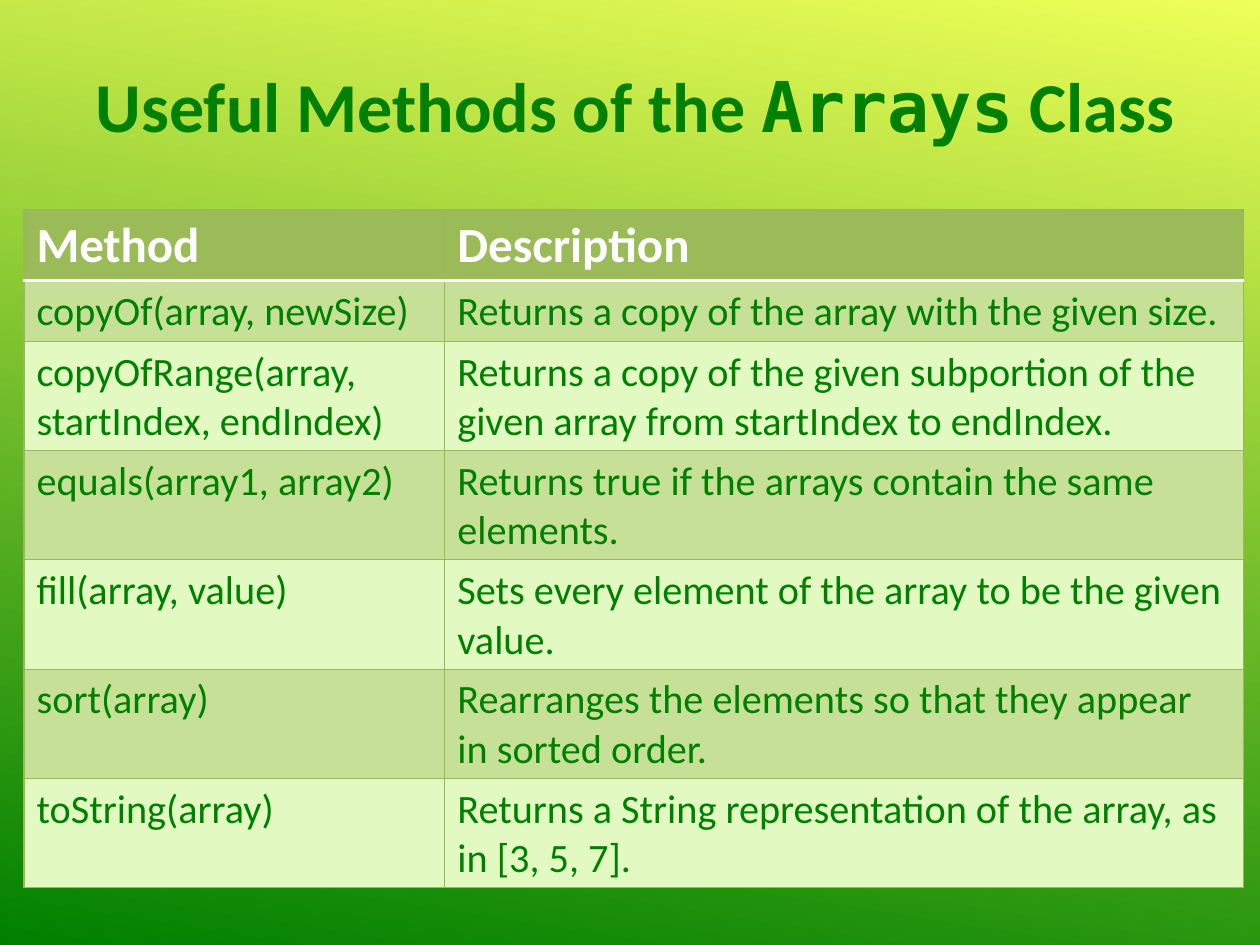
from typing import NamedTuple

from lxml import etree
from pptx import Presentation
from pptx import util as u
from pptx.dml.color import RGBColor
from pptx.enum import text
from pptx.oxml.ns import qn

WIDTH, HEIGHT = 10, 7.5
COLORS = {
    "sky": "EEFF58", "green": "008000", "white": "FFFFFF",
    "header": "9BBB59", "band": "C6E197", "plain": "E2FAC2", "rule": "98B955",
}
BODY_FONT, CODE_FONT = "Calibri", "DejaVu Sans Mono"


class Method(NamedTuple):
    signature: str
    description: str


METHODS = [
    Method("copyOf(array, newSize)", "Returns a copy of the array with the given size."),
    Method("copyOfRange(array, startIndex, endIndex)",
           "Returns a copy of the given subportion of the given array from startIndex to endIndex."),
    Method("equals(array1, array2)", "Returns true if the arrays contain the same elements."),
    Method("fill(array, value)", "Sets every element of the array to be the given value."),
    Method("sort(array)", "Rearranges the elements so that they appear in sorted order."),
    Method("toString(array)", "Returns a String representation of the array, as in [3, 5, 7]."),
]


def rgb(name: str) -> RGBColor:
    return RGBColor.from_string(COLORS[name])


def add_text(paragraph, words: str, *, size: float, color: str = "green",
             bold: bool = False, font: str = BODY_FONT) -> None:
    run = paragraph.add_run()
    run.text = words
    run.font.size, run.font.bold, run.font.name = u.Pt(size), bold, font
    run.font.color.rgb = rgb(color)


def set_borders(cell, bottom_color: str, bottom_width: float,
                top_color: str, top_width: float) -> None:
    edges = {"lnL": ("rule", 0.75), "lnR": ("rule", 0.75),
             "lnT": (top_color, top_width), "lnB": (bottom_color, bottom_width)}
    properties = cell._tc.get_or_add_tcPr()
    # Borders come before the fill in a cell's properties
    for place, (tag, (color, width)) in enumerate(edges.items()):
        line = etree.Element(qn(f"a:{tag}"), w=str(u.Pt(width)))
        fill = etree.SubElement(line, qn("a:solidFill"))
        etree.SubElement(fill, qn("a:srgbClr"), val=COLORS[color])
        properties.insert(place, line)


def add_background(slide) -> None:
    fill = slide.background.fill
    fill.gradient()
    fill.gradient_angle = 360 - 99
    for stop, color in zip(fill.gradient_stops, ("sky", "green")):
        stop.color.rgb = rgb(color)


def add_title(slide) -> None:
    box = slide.shapes.add_textbox(u.Inches(0.47), u.Inches(0.06 * HEIGHT),
                                   u.Inches(9.14), u.Inches(0.77))
    box.text_frame.word_wrap = True
    heading = box.text_frame.paragraphs[0]
    heading.alignment = text.PP_ALIGN.CENTER
    for words, font in (("Useful Methods of the ", BODY_FONT),
                        ("Arrays", CODE_FONT), (" Class", BODY_FONT)):
        add_text(heading, words, size=40, bold=True, font=font)


def add_method_table(slide, methods: list[Method]) -> None:
    rows = [Method("Method", "Description"), *methods]
    column_widths, row_height = (3.34, 6.34), 0.41
    table = slide.shapes.add_table(
        len(rows), len(column_widths), u.Inches(0.19), u.Inches(1.66),
        u.Inches(sum(column_widths)), u.Inches(row_height * len(rows))).table
    for column, width in zip(table.columns, column_widths):
        column.width = u.Inches(width)

    for r, method in enumerate(rows):
        table.rows[r].height = u.Inches(row_height)
        is_header = r == 0
        fill = "header" if is_header else ("band" if r % 2 else "plain")
        for c, words in enumerate(method):
            cell = table.cell(r, c)
            cell.fill.solid()
            cell.fill.fore_color.rgb = rgb(fill)
            # A white rule parts the header from the methods
            set_borders(cell, *(("white", 2) if is_header else ("rule", 0.75)),
                        *(("white", 2) if r == 1 else ("rule", 0.75)))
            add_text(cell.text_frame.paragraphs[0], words,
                     size=28 if is_header else 23, bold=is_header,
                     color="white" if is_header else "green")


def main() -> None:
    deck = Presentation()
    deck.slide_width, deck.slide_height = u.Inches(WIDTH), u.Inches(HEIGHT)
    slide = deck.slides.add_slide(deck.slide_layouts[6])
    add_background(slide)
    add_title(slide)
    add_method_table(slide, METHODS)
    deck.save("out.pptx")


if __name__ == "__main__":
    main()
